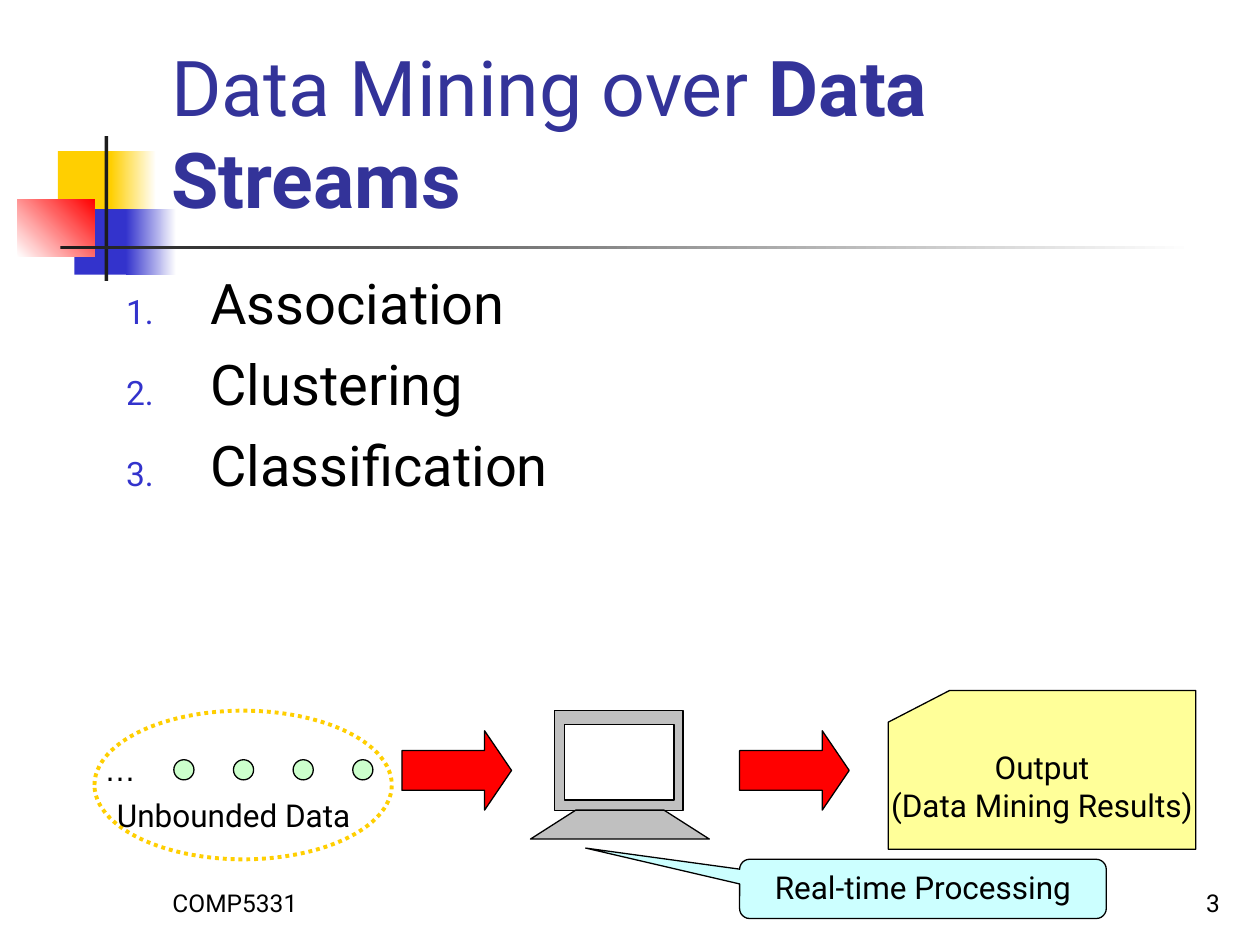
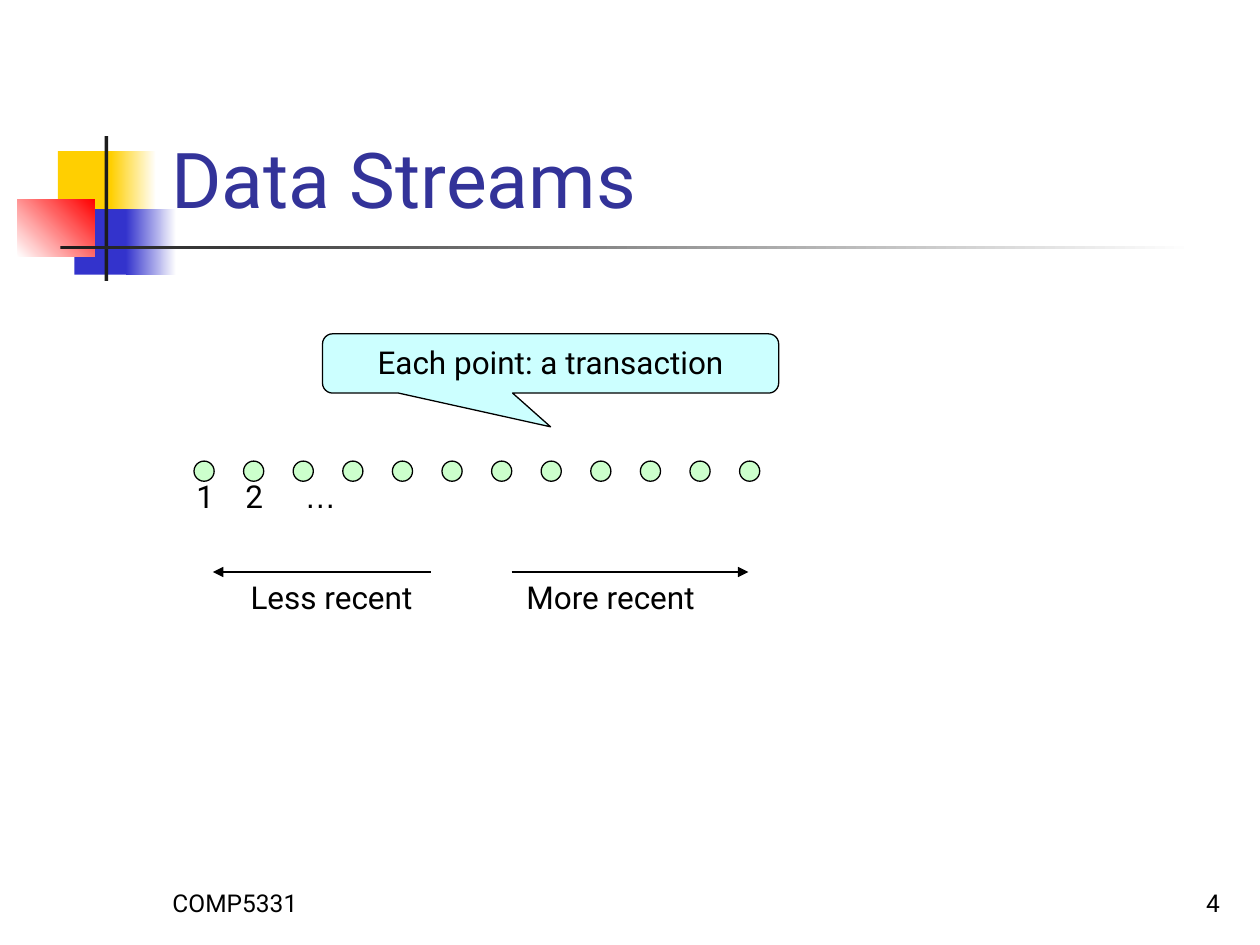
from dataclasses import dataclass
from typing import NamedTuple, Optional

from lxml import etree
from pptx import Presentation
from pptx.dml.color import RGBColor
from pptx.enum.dml import MSO_LINE
from pptx.enum.shapes import MSO_CONNECTOR, MSO_SHAPE
from pptx.enum.text import MSO_ANCHOR, MSO_AUTO_SIZE, PP_ALIGN
from pptx.oxml.ns import qn
from pptx.util import Inches, Pt

RECT = MSO_SHAPE.RECTANGLE
OVAL = MSO_SHAPE.OVAL
ARROW = MSO_SHAPE.RIGHT_ARROW
CARD = MSO_SHAPE.FLOWCHART_CARD
CALLOUT = MSO_SHAPE.ROUNDED_RECTANGULAR_CALLOUT
STRAIGHT = MSO_CONNECTOR.STRAIGHT
DOTTED = MSO_LINE.ROUND_DOT
LEFT, CENTER, RIGHT = PP_ALIGN.LEFT, PP_ALIGN.CENTER, PP_ALIGN.RIGHT
TOP, MIDDLE, BOTTOM = MSO_ANCHOR.TOP, MSO_ANCHOR.MIDDLE, MSO_ANCHOR.BOTTOM


@dataclass(frozen=True)
class Theme:
    font: str = "Roboto"
    ellipsis_font: str = "Arial"
    title_size: int = 44
    body_size: int = 32
    label_size: int = 18
    footer_size: int = 14
    title: str = "333399"
    text: str = "000000"
    white: str = "FFFFFF"
    yellow: str = "FFCF01"
    blue: str = "3333CC"
    red: str = "FF0000"
    dark: str = "1C1C1C"
    gray: str = "C0C0C0"
    point: str = "CCFFCC"
    callout: str = "CCFFFF"
    card: str = "FFFF99"
    outline: float = 0.75
    dotted_outline: float = 2.25


THEME = Theme()


class Box(NamedTuple):
    left: float
    top: float
    width: float
    height: float

    def lengths(self) -> list:
        return [Inches(value) for value in self]


class Band(NamedTuple):
    box: Box
    start: str
    end: Optional[str] = None
    angle: int = 0


class Label(NamedTuple):
    text: str
    box: Box
    font: str = THEME.font


class TimeArrow(NamedTuple):
    start: float
    end: float
    label: Label


# Shared parts
BANDS = [
    Band(Box(0.46, 1.2, 0.48, 0.52), THEME.yellow),
    Band(Box(0.88, 1.2, 0.36, 0.52), THEME.yellow, THEME.white),
    Band(Box(0.59, 1.66, 0.46, 0.52), THEME.blue),
    Band(Box(1, 1.66, 0.4, 0.52), THEME.blue, THEME.white),
    Band(Box(0.14, 1.58, 0.61, 0.46), THEME.white, THEME.red, 45),
    Band(Box(0.83, 1.08, 0.03, 1.15), THEME.dark),
    Band(Box(0.48, 1.95, 9, 0.03), THEME.dark, THEME.white),
]
TITLE_BOX = Box(1.26, 0.23, 8.52, 1.6)
COURSE_BOX = Box(1.27, 6.83, 2.08, 0.5)
NUMBER_BOX = Box(7.7, 6.83, 2.08, 0.5)
POINT_SIZE = 0.16

# Mining slide
TASKS = ["Association", "Clustering", "Classification"]
TASKS_BOX = Box(0.9, 2.08, 8.5, 3.32)
COMPUTER_CASE = Box(4.4, 5.64, 1.02, 0.79)
COMPUTER_SCREEN = Box(4.48, 5.75, 0.87, 0.6)
KEYBOARD = [(5.63, 6.66), (5.27, 6.43), (4.57, 6.43), (4.21, 6.66)]
FLOW_ARROWS = [Box(left, 5.8, 0.87, 0.63) for left in (3.19, 5.87)]

# Streams slide
POINT_LABELS = [
    Label("1", Box(1.46, 3.74, 0.34, 0.4)),
    Label("2", Box(1.85, 3.74, 0.34, 0.4)),
    Label("…", Box(2.32, 3.74, 0.45, 0.4), THEME.ellipsis_font),
]
TIME_TOP = 4.54
TIME_ARROWS = [
    TimeArrow(3.42, 1.69, Label("Less recent", Box(1.89, TIME_TOP, 1.52, 0.4))),
    TimeArrow(4.06, 5.94, Label("More recent", Box(4.08, TIME_TOP, 1.64, 0.4))),
]


def color(code: str) -> RGBColor:
    return RGBColor.from_string(code)


def style_paragraph(paragraph, size: int, code: str = THEME.text,
                    align=LEFT, font: str = THEME.font) -> None:
    paragraph.alignment = align
    paragraph.font.name = font
    paragraph.font.size = Pt(size)
    paragraph.font.color.rgb = color(code)


def style_shape(shape, fill: Optional[str], line: Optional[str] = THEME.text,
                width: float = THEME.outline) -> None:
    shape.shadow.inherit = False
    if fill:
        shape.fill.solid()
        shape.fill.fore_color.rgb = color(fill)
    else:
        shape.fill.background()
    if line:
        shape.line.color.rgb = color(line)
        shape.line.width = Pt(width)
    else:
        shape.line.fill.background()


def add_figure(slide, kind, box: Box, fill: Optional[str],
               line: Optional[str] = THEME.text, width: float = THEME.outline):
    figure = slide.shapes.add_shape(kind, *box.lengths())
    style_shape(figure, fill, line, width)
    return figure


def write_lines(shape, text: str, anchor, wrap: bool) -> None:
    frame = shape.text_frame
    frame.word_wrap = wrap
    frame.vertical_anchor = anchor
    frame.text = text
    for paragraph in frame.paragraphs:
        style_paragraph(paragraph, THEME.label_size, align=CENTER)


def add_label(slide, label: Label) -> None:
    frame = slide.shapes.add_textbox(*label.box.lengths()).text_frame
    frame.word_wrap = False
    frame.auto_size = MSO_AUTO_SIZE.SHAPE_TO_FIT_TEXT
    frame.text = label.text
    style_paragraph(frame.paragraphs[0], THEME.label_size, font=label.font)


def add_footer(slide, text: str, box: Box, align) -> None:
    frame = slide.shapes.add_textbox(*box.lengths()).text_frame
    frame.word_wrap = True
    frame.vertical_anchor = BOTTOM
    frame.text = text
    style_paragraph(frame.paragraphs[0], THEME.footer_size, align=align)


def add_band(slide, band: Band) -> None:
    shape = add_figure(slide, RECT, band.box, band.start, line=None)
    if band.end:
        shape.fill.gradient()
        shape.fill.gradient_angle = band.angle
        for stop, code in zip(shape.fill.gradient_stops, (band.start, band.end)):
            stop.color.rgb = color(code)


def add_points(slide, count: int, first: float, last: float, top: float) -> None:
    pitch = (last - first) / (count - 1)
    for index in range(count):
        box = Box(first + index * pitch, top, POINT_SIZE, POINT_SIZE)
        add_figure(slide, OVAL, box, THEME.point)


def add_callout(slide, text: str, box: Box, tip_x: float, tip_y: float) -> None:
    callout = add_figure(slide, CALLOUT, box, THEME.callout)
    for index, value in enumerate((tip_x, tip_y, 0.17)):
        callout.adjustments[index] = value
    write_lines(callout, text, TOP, wrap=True)


def place(placeholder, box: Box) -> None:
    placeholder.left, placeholder.top, placeholder.width, placeholder.height = box.lengths()
    placeholder.text_frame.auto_size = MSO_AUTO_SIZE.NONE
    # Bring the text in front of the bands
    placeholder.element.getparent().append(placeholder.element)


def add_slide(prs, layout: int, number: int, title: str, strong: str = ""):
    slide = prs.slides.add_slide(prs.slide_layouts[layout])
    for band in BANDS:
        add_band(slide, band)
    add_footer(slide, "COMP5331", COURSE_BOX, LEFT)
    add_footer(slide, str(number), NUMBER_BOX, RIGHT)
    heading = slide.shapes.title
    place(heading, TITLE_BOX)
    heading.text_frame.vertical_anchor = BOTTOM
    paragraph = heading.text_frame.paragraphs[0]
    paragraph.add_run().text = title
    if strong:
        run = paragraph.add_run()
        run.text = strong
        run.font.bold = True
    style_paragraph(paragraph, THEME.title_size, THEME.title)
    return slide


def number_paragraph(paragraph) -> None:
    props = paragraph._p.get_or_add_pPr()
    props.set("marL", str(Inches(0.67)))
    props.set("indent", str(-Inches(0.67)))
    bullet_color = etree.SubElement(props, qn("a:buClr"))
    etree.SubElement(bullet_color, qn("a:srgbClr"), val=THEME.blue)
    etree.SubElement(props, qn("a:buSzPct"), val="60000")
    etree.SubElement(props, qn("a:buFont"), typeface=THEME.font)
    etree.SubElement(props, qn("a:buAutoNum"), type="arabicPeriod")


def add_tasks(slide) -> None:
    body = slide.placeholders[1]
    place(body, TASKS_BOX)
    body.text_frame.text = "\n".join(TASKS)
    for index, paragraph in enumerate(body.text_frame.paragraphs):
        number_paragraph(paragraph)
        paragraph.space_before = Pt(8 if index else 0)
        style_paragraph(paragraph, THEME.body_size)


def add_computer(slide) -> None:
    add_figure(slide, RECT, COMPUTER_CASE, THEME.gray)
    add_figure(slide, RECT, COMPUTER_SCREEN, THEME.white)
    corners = [(Inches(x), Inches(y)) for x, y in KEYBOARD]
    outline = slide.shapes.build_freeform(*corners[0])
    outline.add_line_segments(corners[1:], close=True)
    style_shape(outline.convert_to_shape(), THEME.gray)


def add_time_arrow(slide, arrow: TimeArrow) -> None:
    line = slide.shapes.add_connector(STRAIGHT, Inches(arrow.start), Inches(TIME_TOP),
                                      Inches(arrow.end), Inches(TIME_TOP))
    line.line.color.rgb = color(THEME.text)
    line.line.width = Pt(THEME.outline)
    etree.SubElement(line.line._get_or_add_ln(), qn("a:tailEnd"), type="triangle")
    etree.SubElement(line._element.spPr, qn("a:effectLst"))
    add_label(slide, arrow.label)


def build_mining_slide(prs) -> None:
    slide = add_slide(prs, 1, 3, "Data Mining over ", "Data Streams")
    add_tasks(slide)
    add_computer(slide)
    for box in FLOW_ARROWS:
        arrow = add_figure(slide, ARROW, box, THEME.red)
        arrow.adjustments[1] = 0.34
    output = add_figure(slide, CARD, Box(7.05, 5.48, 2.44, 1.26), THEME.card)
    write_lines(output, "Output\n(Data Mining Results)", MIDDLE, wrap=False)
    # Unbounded stream
    add_points(slide, 4, 1.38, 2.8, 6.03)
    add_label(slide, Label("…", Box(0.73, 5.9, 0.45, 0.4), THEME.ellipsis_font))
    stream = add_figure(slide, OVAL, Box(0.75, 5.64, 2.36, 1.18), None,
                        THEME.yellow, THEME.dotted_outline)
    stream.line.dash_style = DOTTED
    add_label(slide, Label("Unbounded Data", Box(0.83, 6.27, 2.22, 0.4)))
    add_callout(slide, "Real-time Processing", Box(5.87, 6.82, 2.91, 0.47), -0.92, -0.69)


def build_streams_slide(prs) -> None:
    slide = add_slide(prs, 5, 4, "Data Streams")
    add_points(slide, 12, 1.54, 5.87, 3.66)
    for label in POINT_LABELS:
        add_label(slide, label)
    for arrow in TIME_ARROWS:
        add_time_arrow(slide, arrow)
    add_callout(slide, "Each point: a transaction", Box(2.56, 2.65, 3.62, 0.47), 0, 1.07)


def main() -> None:
    prs = Presentation()
    prs.slide_width, prs.slide_height = Inches(10), Inches(7.5)
    build_mining_slide(prs)
    build_streams_slide(prs)
    prs.save("out.pptx")


if __name__ == "__main__":
    main()
